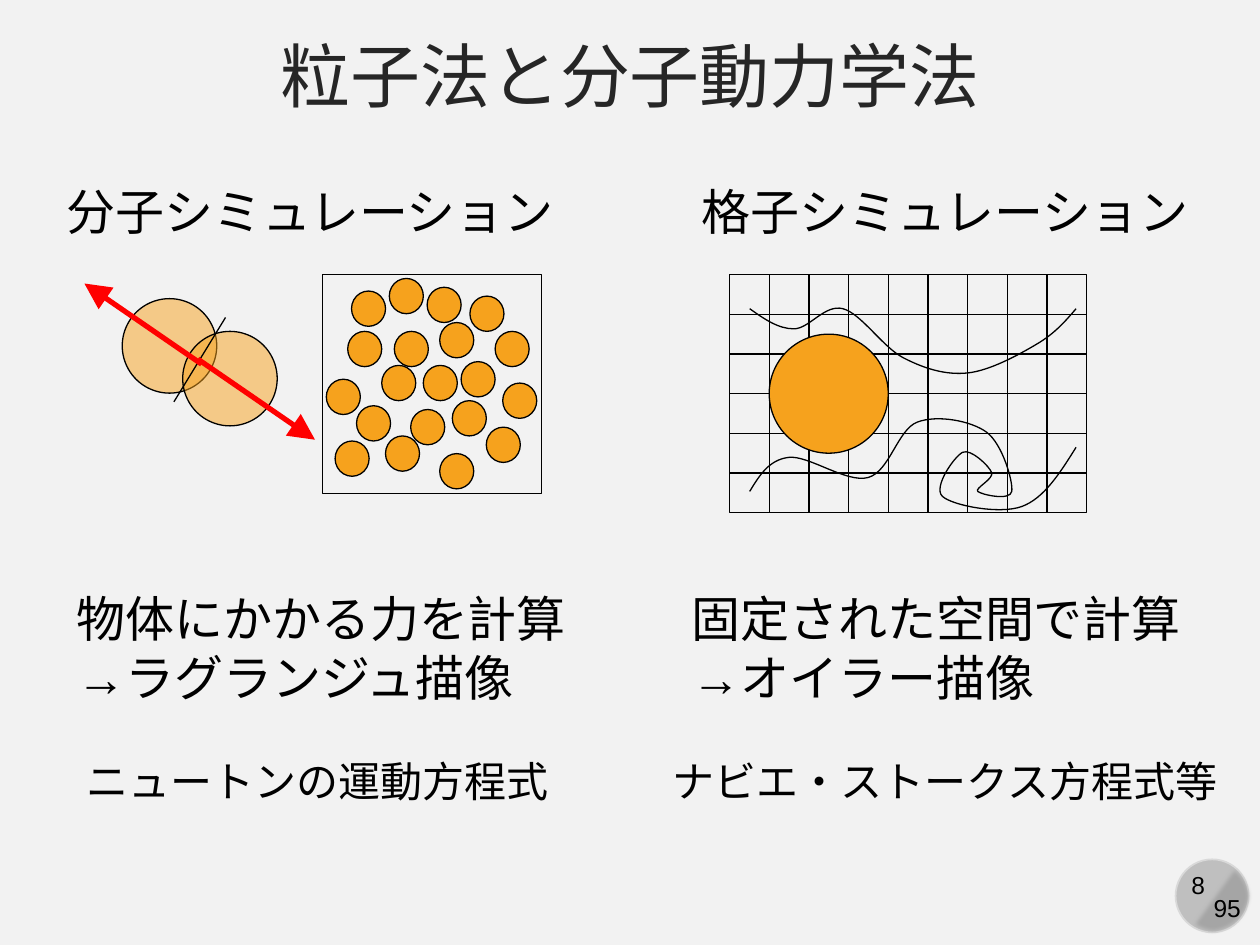
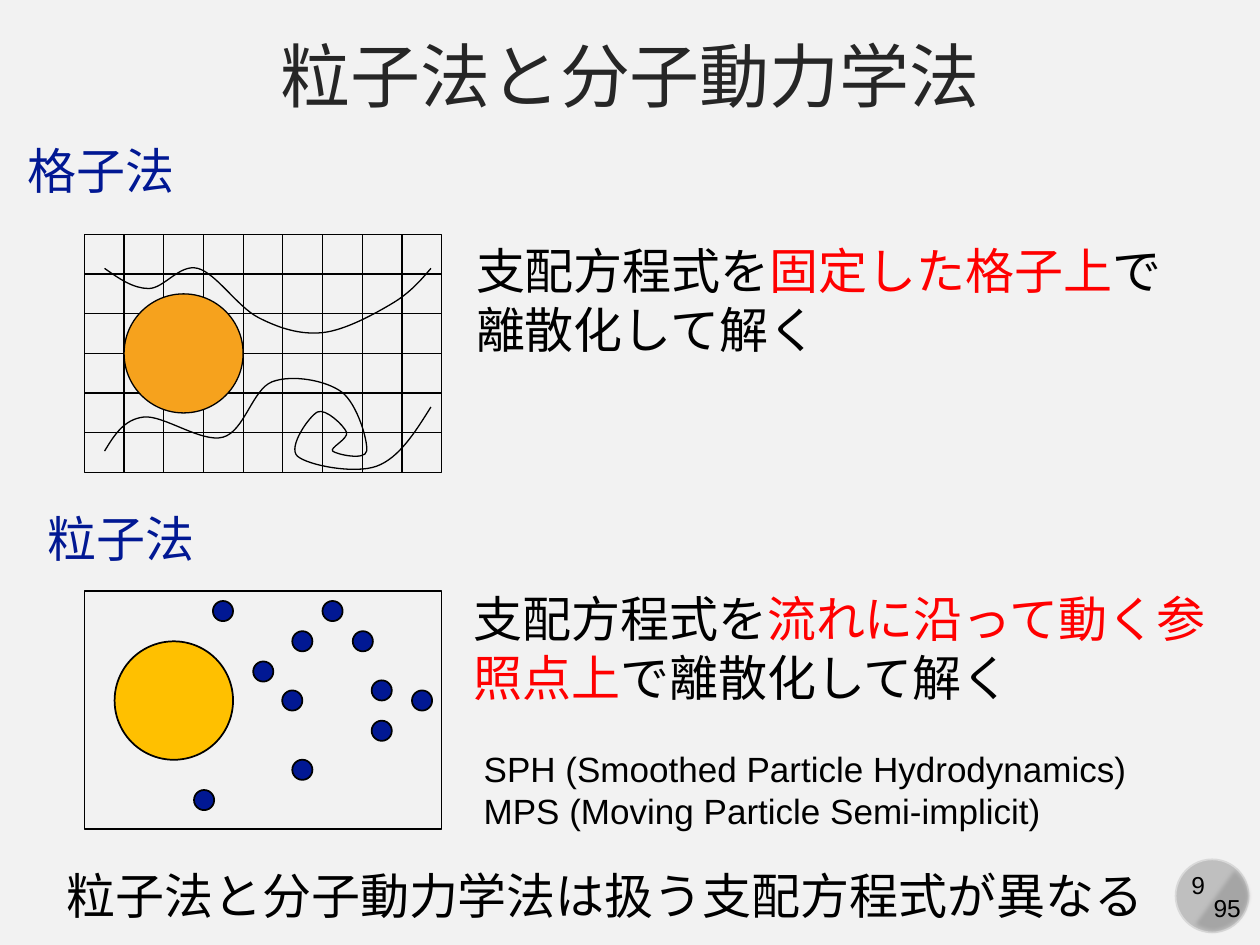
"""Builds two slides comparing grid, particle and molecular dynamics methods."""
import pptx
import pptx.dml.color
import pptx.enum.shapes
import pptx.enum.text
import pptx.oxml.ns
import pptx.util
from lxml import etree

Inches = pptx.util.Inches
MSO_SHAPE = pptx.enum.shapes.MSO_SHAPE
PP_ALIGN = pptx.enum.text.PP_ALIGN
qn = pptx.oxml.ns.qn
RGB = pptx.dml.color.RGBColor.from_string

COLORS = {
    "background": "F2F2F2", "title": "262626", "black": "000000", "red": "FF0000",
    "navy": "011893", "orange": "F6A21D", "amber": "FFC000",
    "badge": "BFBFBF", "badge_edge": "D9D9D9", "badge_shade": "A6A6A6",
}
FONT = "Arial"
TITLE = "粒子法と分子動力学法"
PAGE_TOTAL = "95"


def add_figure(page, kind, left, top, width, height, fill=None, line="black", weight=0.75):
    figure = page.shapes.add_shape(kind, Inches(left), Inches(top), Inches(width), Inches(height))
    figure.shadow.inherit = False
    if fill:
        figure.fill.solid()
        figure.fill.fore_color.rgb = RGB(COLORS[fill])
    else:
        figure.fill.background()
    if line:
        figure.line.color.rgb = RGB(COLORS[line])
        figure.line.width = pptx.util.Pt(weight)
    else:
        figure.line.fill.background()
    return figure


def add_line(page, start, end, color="black", weight=0.75, arrow=False):
    line = page.shapes.add_connector(
        pptx.enum.shapes.MSO_CONNECTOR.STRAIGHT, *[Inches(value) for value in (*start, *end)])
    line.line.color.rgb = RGB(COLORS[color])
    line.line.width = pptx.util.Pt(weight)
    if arrow:
        etree.SubElement(line.line._get_or_add_ln(), qn("a:tailEnd"),
                         type="triangle", w="lg", len="lg")
    etree.SubElement(line._element.spPr, qn("a:effectLst"))
    return line


deck = pptx.Presentation()
deck.slide_width = Inches(10)
deck.slide_height = Inches(7.5)
deck.slide_master.background.fill.solid()
deck.slide_master.background.fill.fore_color.rgb = RGB(COLORS["background"])
blank = deck.slide_layouts[6]
compare_page = deck.slides.add_slide(blank)
methods_page = deck.slides.add_slide(blank)

for page in (compare_page, methods_page):
    add_figure(page, MSO_SHAPE.OVAL, 9.33, 6.82, 0.58, 0.58, "badge", "badge_edge", 1)
    shade = add_figure(page, MSO_SHAPE.CHORD, 9.32, 6.8, 0.62, 0.62, "badge_shade", None)
    shade.adjustments[0] = 27
    shade.adjustments[1] = 141.42
    shade.rotation = 255
    effects = shade._element.spPr.find(qn("a:effectLst"))
    etree.SubElement(effects, qn("a:softEdge"), rad="31750")

CELL, COLUMNS, ROWS = 0.315, 9, 6
GRID_WIDTH, GRID_HEIGHT = CELL * COLUMNS, CELL * ROWS
STREAMLINES = [
    [(0.16, 0.27), (0.51, 0.43), (0.9, 0.27), (1.38, 0.66), (1.89, 0.78), (2.44, 0.55),
     (2.75, 0.27)],
    [(0.16, 1.72), (0.47, 1.45), (1.1, 1.61), (1.49, 1.17), (2.04, 1.25), (2.24, 1.72),
     (1.97, 1.72), (2.08, 1.57), (1.85, 1.41), (1.69, 1.76), (2.32, 1.84), (2.75, 1.37)],
]

for page, left, top in ((compare_page, 5.79, 2.18), (methods_page, 0.67, 1.86)):
    frame = add_figure(page, MSO_SHAPE.RECTANGLE, left, top, GRID_WIDTH, GRID_HEIGHT)
    for column in range(1, COLUMNS):
        x = left + column * CELL
        add_line(page, (x, top + GRID_HEIGHT), (x, top))
    for row in range(1, ROWS):
        y = top + row * CELL
        rule = add_line(page, (left, y), (left + GRID_WIDTH, y))
        if row * 2 == ROWS:
            rule.begin_connect(frame, 1)
            rule.end_connect(frame, 3)
    add_figure(page, MSO_SHAPE.OVAL, left + CELL, top + 1.5 * CELL, 3 * CELL, 3 * CELL, "orange")

    for knots in STREAMLINES:
        before = [2.5 * a - 2 * b + 0.5 * c for a, b, c in zip(*knots[:3])]
        after = [2.5 * a - 2 * b + 0.5 * c for a, b, c in zip(*knots[:-4:-1])]
        guides = [before, *knots, after]
        points = [knots[0]]
        for p0, p1, p2, p3 in zip(guides, guides[1:], guides[2:], guides[3:]):
            points.append([b + (c - a) / 6 for a, b, c in zip(p0, p1, p2)])
            points.append([b - (c - a) / 6 for a, b, c in zip(p1, p2, p3)])
            points.append(p2)
        points = [(Inches(left + x), Inches(top + y)) for x, y in points]
        builder = page.shapes.build_freeform(*points[0])
        builder.add_line_segments(points[1:], close=False)
        streamline = builder.convert_to_shape()
        segments = list(streamline._element.iter(qn("a:lnTo")))
        outline = segments[0].getparent()
        for index, segment in enumerate(segments):
            if index % 3 == 0:
                curve = etree.SubElement(outline, qn("a:cubicBezTo"))
            curve.append(segment[0])
            outline.remove(segment)
        streamline.shadow.inherit = False
        streamline.fill.background()
        streamline.line.color.rgb = RGB(COLORS["black"])
        streamline.line.width = pptx.util.Pt(0.75)

MOLECULES = [
    (2.76, 2.63), (3.03, 2.9), (2.59, 3.01), (2.83, 3.22), (3.13, 2.63), (3.36, 2.9),
    (3.26, 3.25), (2.79, 2.31), (3.49, 2.56), (3.09, 2.21), (3.39, 2.28), (3.73, 2.35),
    (3.66, 2.87), (3.59, 3.18), (3.93, 2.63), (3.99, 3.04), (3.86, 3.39), (3.06, 3.46),
    (2.66, 3.5), (3.49, 3.6),
]
for left, top in MOLECULES:
    add_figure(compare_page, MSO_SHAPE.OVAL, left, top, 0.27, 0.28, "orange")
add_figure(compare_page, MSO_SHAPE.RECTANGLE, 2.56, 2.18, 1.74, 1.74)

for left, top in ((0.97, 2.37), (1.45, 2.63)):
    collider = add_figure(compare_page, MSO_SHAPE.OVAL, left, top, 0.75, 0.75, "orange")
    fill_color = collider._element.spPr.find(qn("a:solidFill")).find(qn("a:srgbClr"))
    etree.SubElement(fill_color, qn("a:alpha"), val="50000")
add_line(compare_page, (1.38, 3.19), (1.79, 2.52))
add_line(compare_page, (1.57, 2.85), (2.5, 3.49), "red", 3, arrow=True)
add_line(compare_page, (1.6, 2.89), (0.67, 2.25), "red", 3, arrow=True)

PARTICLES = [
    (1.69, 4.77), (2.32, 5.01), (2.56, 4.77), (2.8, 5.01), (2.24, 5.48), (2.32, 6.03),
    (1.54, 6.27), (2.95, 5.72), (3.27, 5.48), (2.95, 5.4), (2.01, 5.25),
]
add_figure(methods_page, MSO_SHAPE.OVAL, 0.91, 5.09, 0.94, 0.94, "amber", weight=1)
for left, top in PARTICLES:
    add_figure(methods_page, MSO_SHAPE.OVAL, left, top, 0.16, 0.16, "navy", weight=1)
add_figure(methods_page, MSO_SHAPE.RECTANGLE, 0.67, 4.69, GRID_WIDTH, GRID_HEIGHT, weight=1)

texts = [
    (compare_page, (0.51, 4.62, 4.13, 1.04), 28, False,
     [[("物体にかかる力を計算", "black")], [("→ラグランジュ描像", "black")]]),
    (compare_page, (0.43, 1.39, 4.13, 0.57), 28, False, [[("分子シミュレーション", "black")]]),
    (compare_page, (5.47, 1.39, 4.13, 0.57), 28, False, [[("格子シミュレーション", "black")]]),
    (compare_page, (5.39, 4.62, 4.13, 1.04), 28, False,
     [[("固定された空間で計算", "black")], [("→オイラー描像", "black")]]),
    (compare_page, (0.59, 5.95, 3.9, 0.5), 24, False, [[("ニュートンの運動方程式", "black")]]),
    (compare_page, (5.24, 5.95, 4.58, 0.5), 24, False, [[("ナビエ・ストークス方程式等", "black")]]),
    (methods_page, (0.28, 3.99, 1.38, 0.57), 28, False, [[("粒子法", "navy")]]),
    (methods_page, (0.12, 1.07, 1.38, 0.57), 28, False, [[("格子法", "navy")]]),
    (methods_page, (3.68, 1.86, 5.65, 1.04), 28, True,
     [[("支配方程式を", "black"), ("固定した格子上", "red"), ("で離散化して解く", "black")]]),
    (methods_page, (3.66, 4.62, 6.22, 1.04), 28, True,
     [[("支配方程式を", "black"), ("流れに沿って動く参照点上", "red"),
       ("で離散化して解く", "black")]]),
    (methods_page, (3.74, 5.88, 5.35, 0.77), 20, False,
     [[("SPH (Smoothed Particle Hydrodynamics)", "black")],
      [("MPS (Moving Particle Semi-implicit)", "black")]]),
    (methods_page, (0.43, 6.82, 8.84, 0.57), 28, False,
     [[("粒子法と分子動力学法は扱う支配方程式が異なる", "black")]]),
]
for page, number in ((compare_page, "8"), (methods_page, "9")):
    texts += [
        (page, (0, 0.21, 10, 0.82), 40, True, [[(TITLE, "title")]]),
        (page, (9.29, 6.86, 0.44, 0.34), 14, False, [[(number, "black")]]),
        (page, (9.53, 7.04, 0.42, 0.34), 14, False, [[(PAGE_TOTAL, "black")]]),
    ]

for page, bounds, size, wrap, paragraphs in texts:
    box = page.shapes.add_textbox(*[Inches(value) for value in bounds])
    text_frame = box.text_frame
    text_frame.word_wrap = wrap
    if size != 40:
        text_frame.auto_size = pptx.enum.text.MSO_AUTO_SIZE.SHAPE_TO_FIT_TEXT
    text_frame.text = "\n".join("" for _ in paragraphs)
    for para, spans in zip(text_frame.paragraphs, paragraphs):
        para.alignment = PP_ALIGN.CENTER if size in (14, 40) else PP_ALIGN.LEFT
        for words, color in spans:
            span = para.add_run()
            span.text = words
            span.font.name = FONT
            span.font.size = pptx.util.Pt(size)
            span.font.color.rgb = RGB(COLORS[color])
            etree.SubElement(span.font._element, qn("a:ea"), typeface=FONT)

deck.save("out.pptx")
